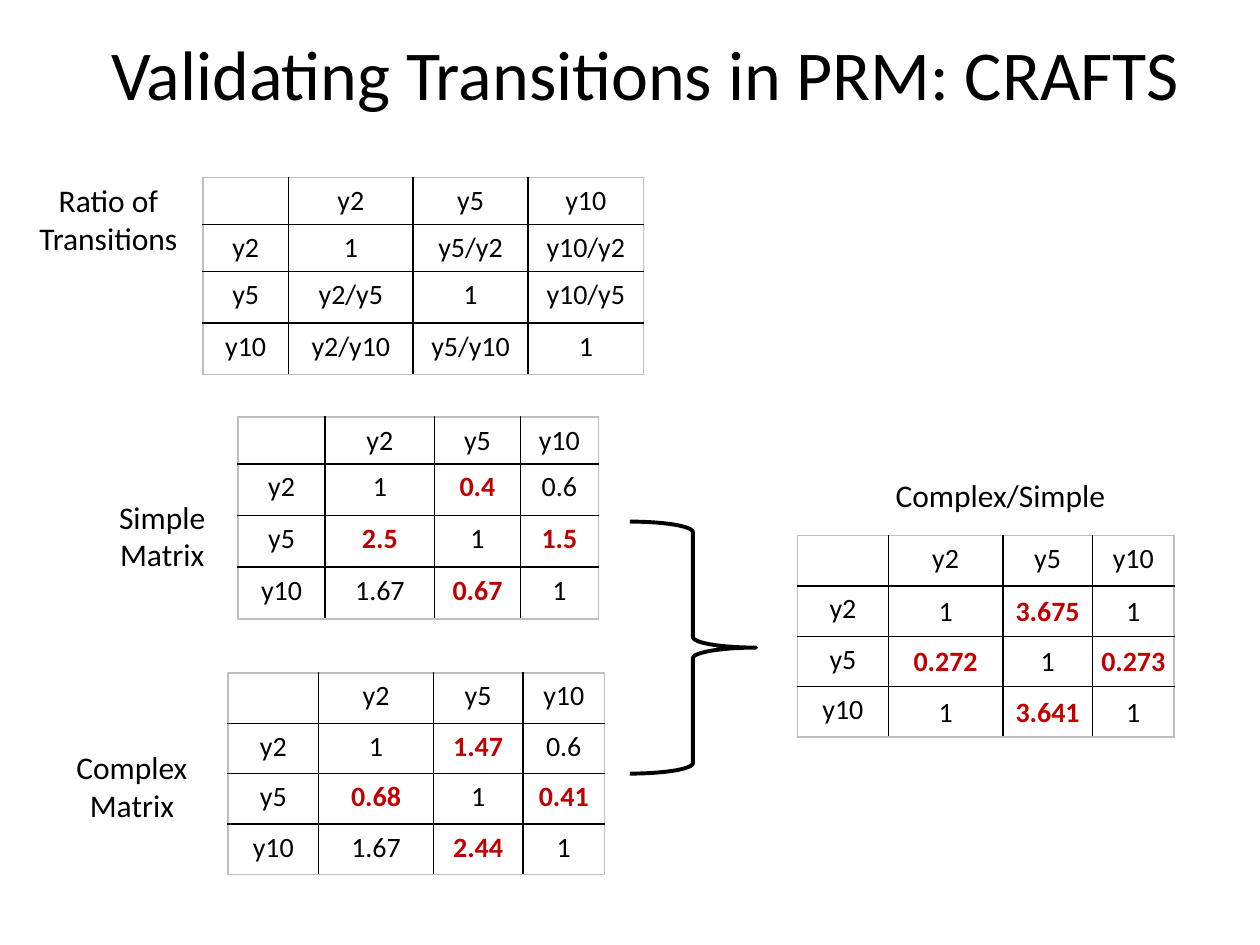
"""Build a slide comparing simple and complex transition ratio matrices."""
from lxml import etree
from pptx import Presentation
from pptx.dml.color import RGBColor
from pptx.enum.shapes import MSO_SHAPE
from pptx.enum.text import MSO_ANCHOR, PP_ALIGN
from pptx.oxml.ns import qn
from pptx.util import Inches, Pt

BRACE = MSO_SHAPE.RIGHT_BRACE
CENTER = PP_ALIGN.CENTER
TOP, MIDDLE = MSO_ANCHOR.TOP, MSO_ANCHOR.MIDDLE
BLACK = RGBColor(0x00, 0x00, 0x00)
RED = RGBColor(0xC0, 0x00, 0x00)
GRAY = RGBColor(0xBF, 0xBF, 0xBF)
FONT = "Calibri"
TITLE_SIZE, LABEL_SIZE, CELL_SIZE = 40, 18, 16

YEARS = ["y2", "y5", "y10"]
KEY_YEAR = YEARS.index("y5") + 1
WIDE_COLUMNS = [0.72, 0.91, 0.71, 0.65]
EVEN_ROWS = [0.4] * 4

MATRICES = [
    {"at": (1.61, 1.41), "columns": [0.68, 0.99, 0.91, 0.92],
     "rows": [0.37, 0.37, 0.41, 0.41], "highlight": False, "tight": False,
     "values": [["1", "y5/y2", "y10/y2"], ["y2/y5", "1", "y10/y5"],
                ["y2/y10", "y5/y10", "1"]]},
    {"at": (1.81, 5.34), "columns": WIDE_COLUMNS,
     "rows": EVEN_ROWS, "highlight": True, "tight": False,
     "values": [["1", "1.47", "0.6"], ["0.68", "1", "0.41"],
                ["1.67", "2.44", "1"]]},
    {"at": (1.89, 3.31), "columns": [0.69, 0.87, 0.68, 0.62],
     "rows": [0.36, 0.41, 0.41, 0.41], "highlight": True, "tight": False,
     "values": [["1", "0.4", "0.6"], ["2.5", "1", "1.5"],
                ["1.67", "0.67", "1"]]},
    {"at": (6.33, 4.25), "columns": WIDE_COLUMNS,
     "rows": EVEN_ROWS, "highlight": True, "tight": True,
     "values": [["1", "3.675", "1"], ["0.272", "1", "0.273"],
                ["1", "3.641", "1"]]},
]
LABELS = [
    (["Ratio of Transitions"], (0.1, 1.39, 1.52, 0.71), True),
    (["Simple ", "Matrix "], (0.84, 3.9, 0.95, 0.71), False),
    (["Complex ", "Matrix "], (0.5, 5.89, 1.15, 0.71), False),
    (["Complex/Simple"], (7, 3.73, 1.88, 0.4), False),
]
TITLE = (["Validating Transitions in PRM: CRAFTS"], (0.62, -0.05, 9, 1.25), True)
BRACE_BOX = (5, 4.14, 1, 2)


def write(paragraph, text, size, color=BLACK, bold=False):
    paragraph.alignment = CENTER
    run = paragraph.add_run()
    run.text = text
    run.font.name = FONT
    run.font.size = Pt(size)
    run.font.bold = bold
    run.font.color.rgb = color


def add_text(slide, lines, box, wrap, size, anchor=TOP):
    frame = slide.shapes.add_textbox(*map(Inches, box)).text_frame
    frame.word_wrap = wrap
    frame.vertical_anchor = anchor
    for index, line in enumerate(lines):
        paragraph = frame.add_paragraph() if index else frame.paragraphs[0]
        write(paragraph, line, size)


def set_borders(cell, row, column, last):
    properties = cell._tc.get_or_add_tcPr()
    outer_edges = {"a:lnL": column == 0, "a:lnR": column == last,
                   "a:lnT": row == 0, "a:lnB": row == last}
    for index, (tag, outer) in enumerate(outer_edges.items()):
        line = etree.Element(qn(tag), w=str(Pt(1)))
        fill = etree.SubElement(line, qn("a:solidFill"))
        etree.SubElement(fill, qn("a:srgbClr"), val=str(GRAY if outer else BLACK))
        properties.insert(index, line)


def add_matrix(slide, matrix):
    grid = [[""] + YEARS]
    grid += [[year] + values for year, values in zip(YEARS, matrix["values"])]
    columns, rows = matrix["columns"], matrix["rows"]
    box = (*matrix["at"], sum(columns), sum(rows))
    table = slide.shapes.add_table(len(rows), len(columns), *map(Inches, box)).table
    table.first_row = table.horz_banding = False
    for column, width in zip(table.columns, columns):
        column.width = Inches(width)
    for row, height in zip(table.rows, rows):
        row.height = Inches(height)
    for row, texts in enumerate(grid):
        for column, text in enumerate(texts):
            cell = table.cell(row, column)
            cell.fill.background()
            set_borders(cell, row, column, len(YEARS))
            is_value = row > 0 and column > 0
            if matrix["tight"] and is_value:
                cell.vertical_anchor = MIDDLE
                cell.margin_left = cell.margin_right = cell.margin_top = Inches(0.01)
                cell.margin_bottom = 0
            paragraph = cell.text_frame.paragraphs[0]
            if text:
                crosses_key = (row == KEY_YEAR) != (column == KEY_YEAR)
                red = matrix["highlight"] and is_value and crosses_key
                write(paragraph, text, CELL_SIZE, RED if red else BLACK, red)
            else:
                paragraph._p.get_or_add_endParaRPr().set("sz", str(CELL_SIZE * 100))


def add_brace(slide):
    brace = slide.shapes.add_shape(BRACE, *map(Inches, BRACE_BOX))
    brace.shadow.inherit = False
    brace.fill.background()
    brace.line.color.rgb = BLACK
    brace.line.width = Pt(2.25)


def main():
    presentation = Presentation()
    presentation.slide_width, presentation.slide_height = Inches(10), Inches(7.5)
    slide = presentation.slides.add_slide(presentation.slide_layouts[6])
    for matrix in MATRICES:
        add_matrix(slide, matrix)
    for label in LABELS:
        add_text(slide, *label, LABEL_SIZE)
    add_brace(slide)
    add_text(slide, *TITLE, TITLE_SIZE, MIDDLE)
    presentation.save("out.pptx")


if __name__ == "__main__":
    main()
